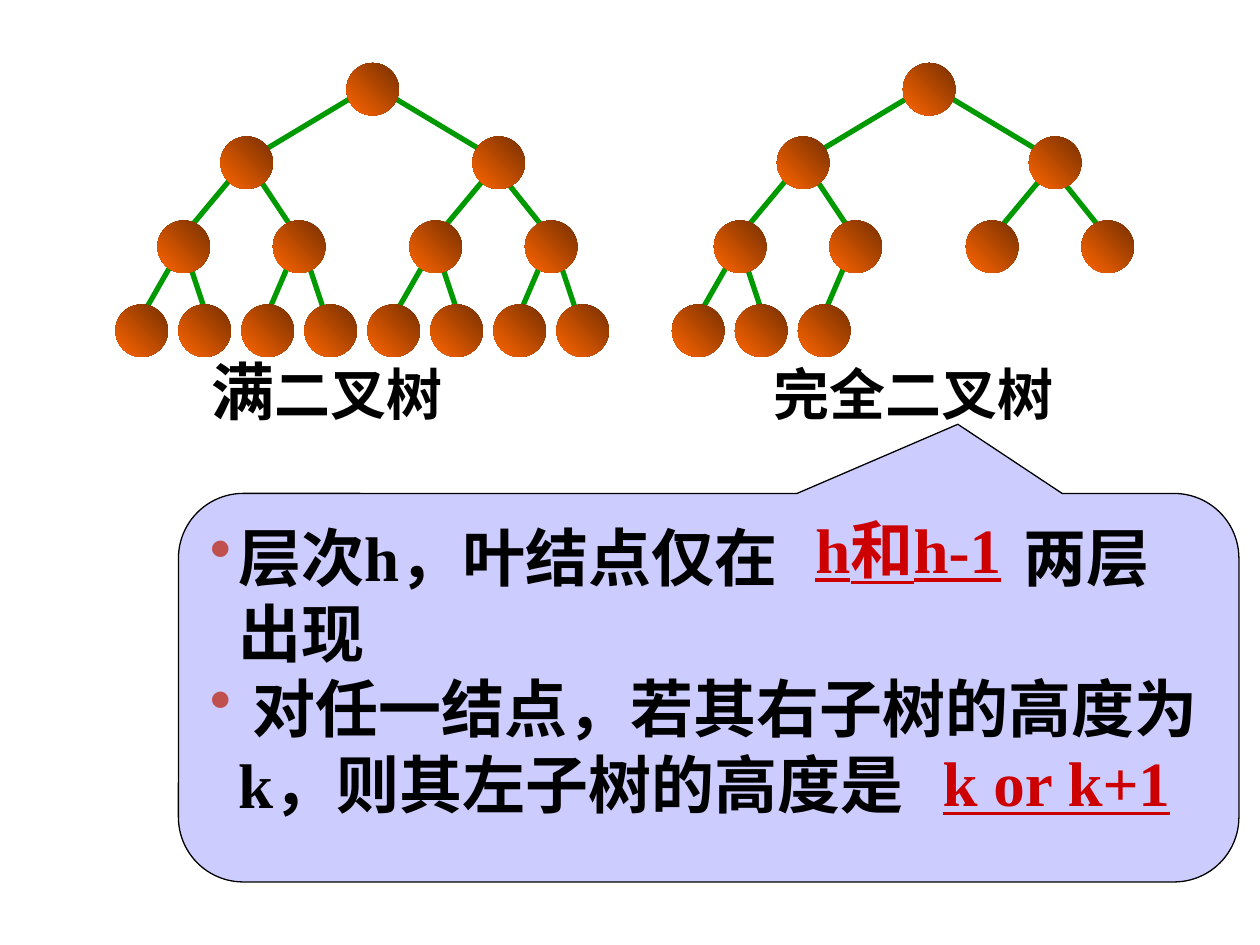
from lxml.etree import SubElement
from pptx import Presentation
from pptx.dml.color import RGBColor
from pptx.enum.shapes import MSO_CONNECTOR, MSO_SHAPE
from pptx.enum.text import MSO_ANCHOR, MSO_AUTO_SIZE, PP_ALIGN
from pptx.oxml.ns import qn
from pptx.util import Emu, Pt

SCALE = 7620  # 120 px to the inch
FONT = "Times New Roman"
COLORS = {
    "edge": "009900", "dark": "762F00", "light": "FF6600", "black": "000000",
    "panel": "CCCCFF", "bullet": "C0504D", "red": "CC0000",
}

# Full binary tree in heap order: each node's left and top
SIZE = 50
NODES = [(330, 60)]
NODES += [(x, 130) for x in (210, 450)]
NODES += [(x, 210) for x in (150, 260, 390, 500)]
NODES += [(110 + 60 * i, 290) for i in range(8)]

# The edge into each node after the root
EDGES = [
    (340, 90, 240, 150), (370, 90, 470, 150),
    (220, 170, 170, 230), (240, 160, 280, 220),
    (470, 160, 420, 220), (480, 170, 520, 220),
    (170, 240, 130, 310), (180, 250, 200, 310),
    (280, 240, 250, 310), (290, 240, 310, 300),
    (410, 240, 370, 310), (420, 250, 440, 310),
    (520, 240, 490, 310), (530, 240, 550, 300),
]


def px(*nums):
    return [Emu(n * SCALE) for n in nums]


def rgb(name):
    return RGBColor.from_string(COLORS[name])


def add_edge(slide, ends):
    line = slide.shapes.add_connector(MSO_CONNECTOR.STRAIGHT, *px(*ends))
    line.line.color.rgb = rgb("edge")
    line.line.width = Pt(3)
    SubElement(line._element.spPr, qn("a:effectLst"))


def add_node(slide, left, top):
    node = slide.shapes.add_shape(MSO_SHAPE.OVAL, *px(left, top, SIZE, SIZE))
    node.shadow.inherit = False
    node.line.fill.background()
    node.fill.gradient()
    node.fill.gradient_angle = 225
    for stop, name in zip(node.fill.gradient_stops, ("dark", "light")):
        stop.color.rgb = rgb(name)


def add_tree(slide, count, shift):
    for x1, y1, x2, y2 in EDGES[:count - 1]:
        add_edge(slide, (x1 + shift, y1, x2 + shift, y2))
    for left, top in NODES[:count]:
        add_node(slide, left + shift, top)


def add_run(para, text, size=36, color="black", under=None):
    run = para.add_run()
    run.text = text
    font = run.font
    font.name, font.size, font.bold = FONT, Pt(size), True
    font.underline = under
    font.color.rgb = rgb(color)


def add_box(slide, *area):
    frame = slide.shapes.add_textbox(*px(*area)).text_frame
    frame.word_wrap = True
    frame.auto_size = MSO_AUTO_SIZE.SHAPE_TO_FIT_TEXT
    return frame


def set_tab(para, pos):
    tabs = SubElement(para._p.get_or_add_pPr(), qn("a:tabLst"))
    SubElement(tabs, qn("a:tab"), pos=str(pos * SCALE), algn="l")


def set_left(para, left, first=0):
    props = para._p.get_or_add_pPr()
    props.set("marL", str(left * SCALE))
    props.set("indent", str(first * SCALE))


def set_bullet(para):
    set_left(para, 27, -27)
    props = para._p.get_or_add_pPr()
    color = SubElement(props, qn("a:buClr"))
    SubElement(color, qn("a:srgbClr"), val=COLORS["bullet"])
    SubElement(props, qn("a:buChar"), char="•")


def add_names(slide):
    para = add_box(slide, 190, 330, 960, 149).paragraphs[0]
    para.space_before = Pt(20)
    set_tab(para, 535)
    add_run(para, "满")
    add_run(para, "二叉树\t完全二叉树", 32)


def add_panel(slide):
    panel = slide.shapes.add_shape(
        MSO_SHAPE.ROUNDED_RECTANGULAR_CALLOUT, *px(170, 470, 1010, 370))
    for i, value in enumerate((0.235, -0.678, 0.167)):
        panel.adjustments[i] = value
    panel.shadow.inherit = False
    panel.fill.solid()
    panel.fill.fore_color.rgb = rgb("panel")
    panel.line.color.rgb = rgb("black")
    panel.line.width = Pt(0.75)
    frame = panel.text_frame
    frame.word_wrap = True
    frame.vertical_anchor = MSO_ANCHOR.TOP
    first, second = frame.paragraphs[0], frame.add_paragraph()
    for para in (first, second):
        para.alignment = PP_ALIGN.LEFT
        set_bullet(para)
    # The tab leaves room for the first answer
    set_tab(first, 775)
    add_run(first, "层次h，叶结点仅在\t两层出现")
    add_run(second, " 对任一结点，若其右子树的高度为k，则其左子树的高度是")


def add_answers(slide):
    frame = add_box(slide, 506, 480, 630, 304)
    first, second = frame.paragraphs[0], frame.add_paragraph()
    rows = ((first, "h和h-1", 88, 22.5), (second, "k or k+1", 370, 90))
    for para, text, left, gap in rows:
        para.alignment = PP_ALIGN.CENTER
        para.space_before = Pt(gap)
        set_left(para, left)
        add_run(para, text, color="red", under=True)


def main():
    deck = Presentation()
    deck.slide_width, deck.slide_height = px(1200, 900)
    slide = deck.slides.add_slide(deck.slide_layouts[6])
    # Full tree, then complete tree
    add_tree(slide, 15, 0)
    add_tree(slide, 10, 530)
    add_names(slide)
    # Callout with the answers laid over its gaps
    add_panel(slide)
    add_answers(slide)
    deck.save("out.pptx")


if __name__ == "__main__":
    main()
